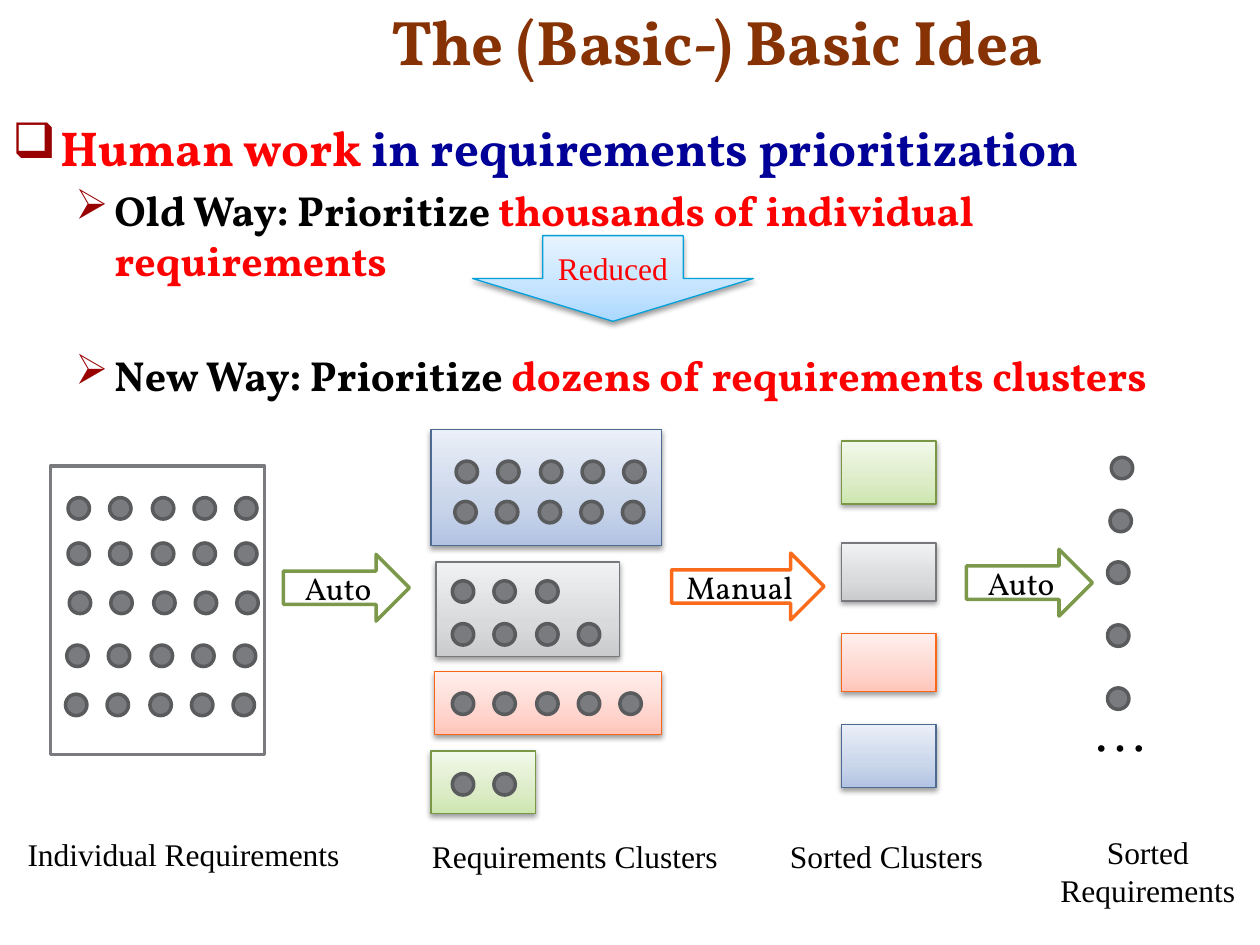
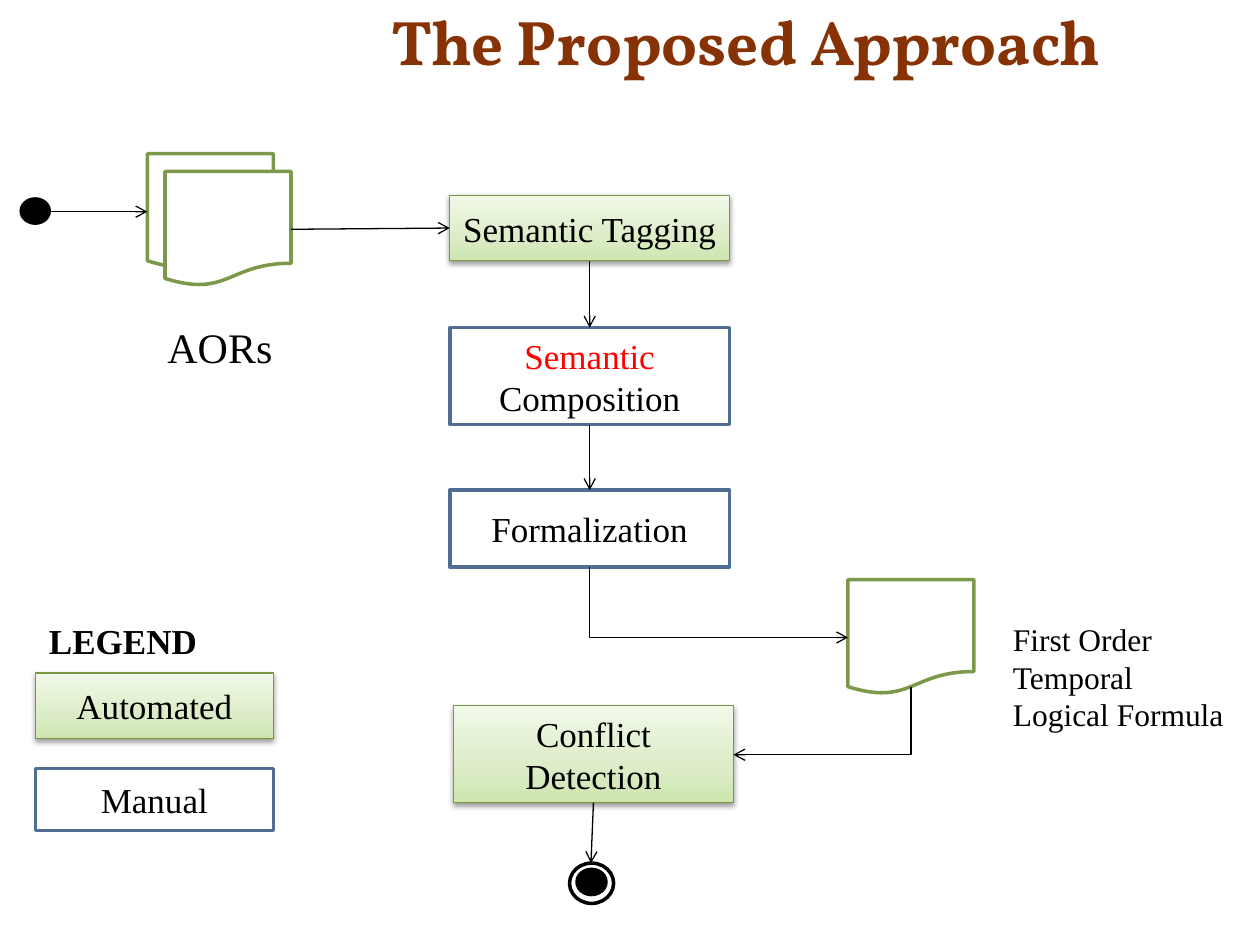
import copy
import lxml.etree
import pptx
import pptx.dml.color
import pptx.enum.shapes
import pptx.enum.text
import pptx.oxml.ns
import pptx.util

KIND = pptx.enum.shapes.MSO_SHAPE
LINK = pptx.enum.shapes.MSO_CONNECTOR
ALIGN = pptx.enum.text.PP_ALIGN
ANCHOR = pptx.enum.text.MSO_ANCHOR
FIT = pptx.enum.text.MSO_AUTO_SIZE
SCALE = 9144

BLACK, WHITE, RED, NAVY = "000000", "FFFFFF", "FF0000", "000099"
BROWN, MAROON = "863204", "990000"
OLIVE, ORANGE, STEEL = "7C984A", "F96A1B", "506E94"
DOT, RIM = "797B7E", "5A5B5D"
SERIF, BOOK = "Times New Roman", "Vollkorn"
GREEN = ("CDE6AF", "DCECC7", "F1F9E9"), "7A9746"
PINK = ("FFC5BA", "FFD6CF", "FFEFED"), "F96615"
GRAY = ("C9CBCD", "D9DADC", "F0F1F2"), "76787B"
BLUE = ("B2C3E3", "C9D5EA", "EAEFF8"), "4D6B92"
SKY = ("ABD8FF", "C3E3FF", "E8F4FF"), "03A0D9"


def px(*sizes):
    return [pptx.util.Emu(round(size * SCALE)) for size in sizes]


def rgb(hue):
    return pptx.dml.color.RGBColor.from_string(hue)


def qn(tag):
    return pptx.oxml.ns.qn(tag)


def node(parent, tag, **attrs):
    return lxml.etree.SubElement(parent, qn(tag), attrs)


class Deck:
    """Draws the elements of the current slide in one shared style."""

    def __init__(self):
        self.prs = pptx.Presentation()
        self.prs.slide_width, self.prs.slide_height = px(1000, 750)

    def page(self, title):
        self.slide = self.prs.slides.add_slide(self.prs.slide_layouts[6])
        frame = self.text(301, -3, 684, 70, [(title, BROWN)], 36, BOOK, True)
        frame.vertical_anchor = ANCHOR.BOTTOM

    def style(self, para, parts, size, font, bold=False):
        para.text = parts[0][0]
        for words, _ in parts[1:]:
            para.add_run().text = words
        for run, (_, hue) in zip(para.runs, parts):
            run.font.name = font
            run.font.size = pptx.util.Pt(size)
            run.font.bold = bold
            run.font.color.rgb = rgb(hue)

    def text(self, x, y, w, h, parts, size=18, font=SERIF, bold=False, wrap=True):
        frame = self.slide.shapes.add_textbox(*px(x, y, w, h)).text_frame
        frame.word_wrap = wrap
        frame.auto_size = FIT.SHAPE_TO_FIT_TEXT
        self.style(frame.paragraphs[0], parts, size, font, bold)
        return frame

    def label(self, x, y, w, h, words, size=18, bold=False):
        self.text(x, y, w, h, [(words, BLACK)], size, bold=bold, wrap=False)

    def points(self, x, y, w, h, rows):
        frame = self.text(x, y, w, h, rows[0][-1])
        frame.auto_size = FIT.NONE
        for i, (level, mark, left, hang, size, gap, parts) in enumerate(rows):
            para = frame.add_paragraph() if i else frame.paragraphs[0]
            self.style(para, parts, size, BOOK, True)
            para.level = level
            para.space_before = pptx.util.Pt(gap)
            props = para._p.get_or_add_pPr()
            props.set("marL", str(left * SCALE))
            props.set("indent", str(-hang * SCALE))
            node(node(props, "a:buClr"), "a:srgbClr", val=MAROON)
            node(props, "a:buChar", char=mark)

    def shape(self, kind, x, y, w, h, fill, line, weight=2, parts=None, size=20, font=SERIF):
        item = self.slide.shapes.add_shape(kind, *px(x, y, w, h))
        item.shadow.inherit = False
        item.fill.solid()
        item.fill.fore_color.rgb = rgb(fill)
        item.line.color.rgb = rgb(line)
        item.line.width = pptx.util.Pt(weight)
        if parts:
            para = item.text_frame.paragraphs[0]
            self.style(para, parts, size, font)
            para.alignment = ALIGN.CENTER
            item.text_frame.vertical_anchor = ANCHOR.MIDDLE
        return item

    def glow(self, kind, x, y, w, h, tone, parts=None, size=20):
        hues, line = tone
        item = self.shape(kind, x, y, w, h, hues[0], line, 0.75, parts, size)
        item.fill.gradient()
        item.fill.gradient_angle = 90
        props = item._element.spPr
        stops = props.find(".//" + qn("a:gsLst"))
        stops.insert(1, copy.deepcopy(stops[0]))
        for stop, spot, hue in zip(item.fill.gradient_stops, (0, 0.35, 1), hues):
            stop.position = spot
            stop.color.rgb = rgb(hue)
        shade = node(props.find(qn("a:effectLst")), "a:outerShdw", blurRad="40000",
                     dist="20000", dir="5400000", rotWithShape="0")
        node(node(shade, "a:srgbClr", val=BLACK), "a:alpha", val="38000")
        return item

    def dots(self, x, y, count):
        for i in range(count):
            self.shape(KIND.OVAL, x + round(i * 100 / 3), y, 17, 17, DOT, RIM)

    def step(self, x, y, w, words, line):
        self.shape(KIND.RIGHT_ARROW, x, y, w, 53, WHITE, line, 2, [(words, BLACK)], 18, BOOK)

    def auto(self, x, y, w, h, words):
        self.glow(KIND.RECTANGLE, x, y, w, h, GREEN, [(words, BLACK)])

    def hand(self, x, y, w, h, *parts):
        self.shape(KIND.RECTANGLE, x, y, w, h, WHITE, STEEL, 2, parts)

    def sheet(self, x, y):
        self.shape(KIND.FLOWCHART_DOCUMENT, x, y, 100, 91, WHITE, OLIVE)

    def arrow(self, x1, y1, x2, y2, kind=LINK.STRAIGHT):
        item = self.slide.shapes.add_connector(kind, *px(x1, y1, x2, y2))
        item.line.color.rgb = rgb(BLACK)
        item.line.width = pptx.util.Pt(0.75)
        props = item._element.spPr
        node(props.find(qn("a:ln")), "a:tailEnd", type="arrow")
        node(props, "a:effectLst")
        return props

    def elbow(self, x1, y1, x2, y2):
        midx, midy = (x1 + x2) / 2, (y1 + y2) / 2
        half, rise = (y2 - y1) / 2, abs(x2 - x1) / 2
        turn = 270 if x2 > x1 else 90
        side = -half if x2 > x1 else half
        props = self.arrow(midx - side, midy - rise, midx + side, midy + rise, LINK.ELBOW)
        props.find(qn("a:xfrm")).set("rot", str(turn * 60000))
        props.find(qn("a:prstGeom")).set("prst", "bentConnector2")


def idea(deck):
    deck.page("The (Basic-) Basic Idea")
    deck.points(0, 88, 1003, 570, [
        (0, "❑", 38, 38, 28, 5.6,
         [("Human work ", RED), ("in requirements prioritization", NAVY)]),
        (1, "➢", 81, 31, 24, 4.8,
         [("Old Way: Prioritize ", BLACK), ("thousands of individual requirements", RED)]),
        (1, "➢", 81, 31, 24, 37,
         [("New Way: Prioritize ", BLACK), ("dozens of requirements clusters", RED)]),
    ])
    drop = deck.glow(KIND.DOWN_ARROW, 375, 187, 223, 68, SKY, [("Reduced", RED)], 18)
    drop.text_frame.word_wrap = False

    deck.shape(KIND.RECTANGLE, 40, 370, 170, 229, WHITE, DOT)
    for x, y, w, h, tone in [
        (342, 341, 183, 92, BLUE), (346, 446, 146, 75, GRAY),
        (345, 533, 180, 50, PINK), (342, 596, 83, 50, GREEN),
        (668, 350, 75, 50, GREEN), (668, 431, 75, 46, GRAY),
        (668, 503, 75, 46, PINK), (668, 575, 75, 50, BLUE),
    ]:
        deck.glow(KIND.RECTANGLE, x, y, w, h, tone)
    for x, y, count in [
        (54, 395, 5), (54, 431, 5), (55, 470, 5), (53, 512, 5), (52, 551, 5),
        (362, 366, 5), (361, 398, 5), (359, 461, 3), (359, 495, 4),
        (359, 550, 5), (359, 614, 2),
        (882, 363, 1), (881, 405, 1), (879, 446, 1), (879, 496, 1), (879, 546, 1),
    ]:
        deck.dots(x, y, count)

    deck.step(225, 440, 100, "Auto", OLIVE)
    deck.step(533, 439, 121, "Manual", ORANGE)
    deck.step(767, 436, 100, "Auto", OLIVE)

    deck.label(12, 658, 271, 40, "Individual Requirements")
    deck.label(333, 659, 249, 40, "Requirements Clusters")
    deck.label(617, 659, 175, 40, "Sorted Clusters")
    deck.label(857, 547, 65, 64, "…", 32)
    last = deck.text(822, 656, 178, 71, [("Sorted Requirements", BLACK)])
    last.paragraphs[0].alignment = ALIGN.CENTER


def flow(deck):
    deck.page("The Proposed Approach")
    deck.shape(KIND.OVAL, 16, 157, 24, 21, BLACK, BLACK, 0.75)
    for x, y in [(117, 122), (131, 136), (673, 460)]:
        deck.sheet(x, y)
    deck.label(123, 250, 105, 50, "AORs", 24)
    deck.text(794, 487, 191, 101, [("First Order Temporal Logical Formula", BLACK)])

    deck.auto(357, 155, 222, 52, "Semantic Tagging")
    deck.hand(357, 260, 222, 77, ("Semantic", RED), (" Composition", BLACK))
    deck.hand(357, 389, 222, 61, ("Formalization", BLACK))
    deck.auto(360, 560, 222, 77, "Conflict Detection")
    ring = deck.shape(KIND.OVAL, 452, 685, 35, 32, WHITE, BLACK)
    core = deck.shape(KIND.OVAL, 458, 690, 23, 20, BLACK, BLACK)
    deck.slide.shapes.add_group_shape([ring, core])

    for ends in [(40, 168, 117, 168), (231, 182, 357, 181), (468, 207, 468, 260),
                 (468, 337, 468, 389), (471, 637, 469, 685)]:
        deck.arrow(*ends)
    deck.elbow(468, 450, 673, 506)
    deck.elbow(723, 545, 582, 599)

    deck.label(29, 487, 139, 44, "LEGEND", 20, True)
    deck.auto(28, 534, 189, 52, "Automated")
    deck.hand(28, 610, 189, 49, ("Manual", BLACK))


def main():
    deck = Deck()
    idea(deck)
    flow(deck)
    deck.prs.save("out.pptx")


if __name__ == "__main__":
    main()
